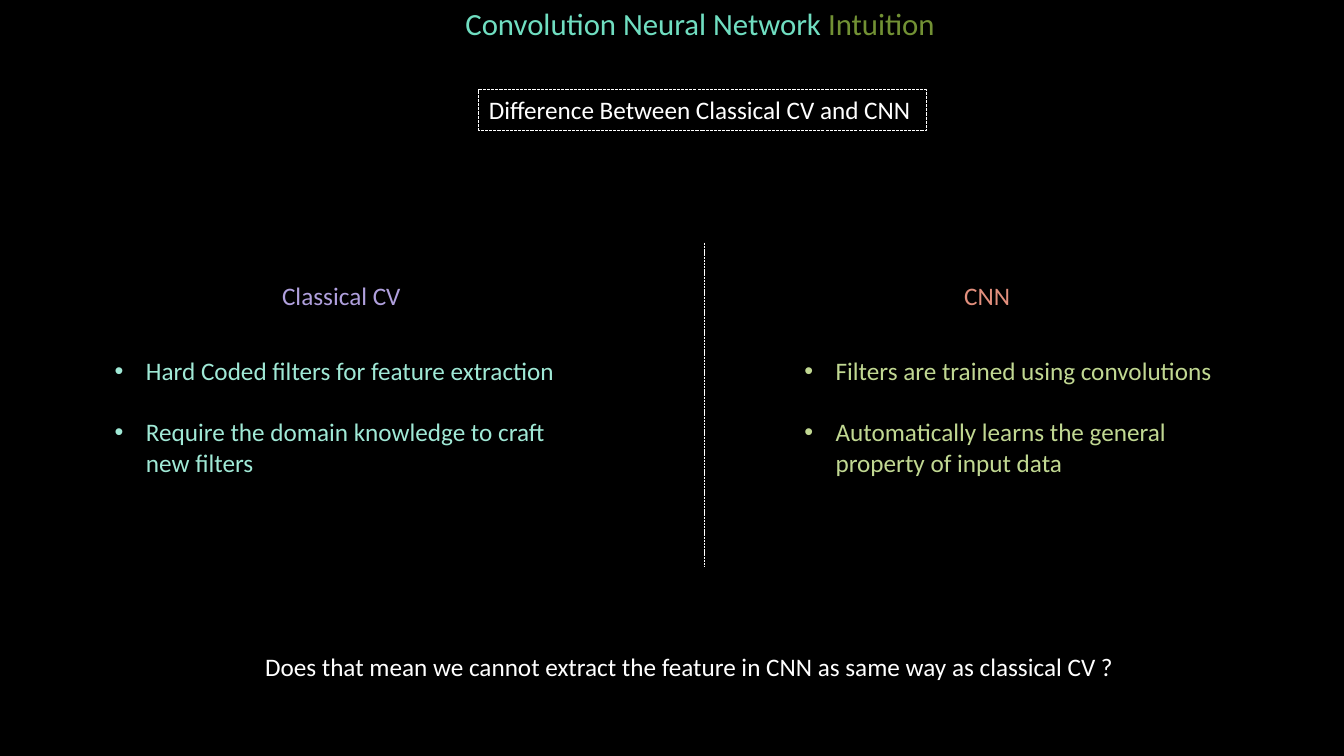
from lxml.etree import SubElement
from pptx import Presentation
from pptx.dml.color import RGBColor
from pptx.enum.dml import MSO_LINE
from pptx.enum.shapes import MSO_CONNECTOR, MSO_SHAPE
from pptx.enum.text import PP_ALIGN
from pptx.oxml.ns import qn
from pptx.util import Cm, Pt

BLACK = RGBColor(0x00, 0x00, 0x00)
WHITE = RGBColor(0xFF, 0xFF, 0xFF)
TEAL = RGBColor(0x70, 0xDE, 0xC1)
OLIVE = RGBColor(0x72, 0x91, 0x34)
PURPLE = RGBColor(0xB0, 0xA0, 0xDD)
CORAL = RGBColor(0xE2, 0x8F, 0x7D)
MINT = RGBColor(0xA0, 0xE9, 0xD6)
LIME = RGBColor(0xC1, 0xD8, 0x92)

FONT = "Calibri"
TITLE_SIZE, BODY_SIZE = 22, 18
LINE_H = 1.02
HEADING_TOP, LIST_TOP, LIST_H = 6.93, 8.84, 3.33
BULLET_INDENT = 0.79
BULLET_GAP = 22
DIVIDER_X, DIVIDER_TOP, DIVIDER_BOTTOM = 17.75, 6.12, 14.3

TITLE = [("Convolution Neural Network ", TEAL), ("Intuition", OLIVE)]
SUBTITLE = [("Difference Between Classical CV and CNN", WHITE)]
QUESTION = [("Does that mean we cannot extract the feature in CNN "
             "as same way as classical CV ?", WHITE)]
# heading, colour, left, width; then list left, width, colour, points
COLUMNS = [
    ("Classical CV", PURPLE, 6.86, 3.53, 2.64, 11.96, MINT,
     ["Hard Coded filters for feature extraction",
      "Require the domain knowledge to craft new filters"]),
    ("CNN", CORAL, 24.05, 1.68, 20.02, 10.82, LIME,
     ["Filters are trained using convolutions",
      "Automatically learns the general property of input data"]),
]


def add_runs(p, runs, size):
    p.alignment = PP_ALIGN.LEFT
    for text, color in runs:
        r = p.add_run()
        r.text = text
        r.font.name = FONT
        r.font.size = Pt(size)
        r.font.color.rgb = color


def add_text(s, left, top, width, height):
    tf = s.shapes.add_textbox(Cm(left), Cm(top), Cm(width), Cm(height)).text_frame
    tf.word_wrap = True
    return tf


def add_line_text(s, runs, left, top, width, height=LINE_H, size=BODY_SIZE):
    """Add a single line of text; no right inset, so that it never wraps."""
    tf = add_text(s, left, top, width, height)
    tf.margin_right = 0
    add_runs(tf.paragraphs[0], runs, size)


def add_bullets(s, points, color, left, width):
    tf = add_text(s, left, LIST_TOP, width, LIST_H)
    for i, point in enumerate(points):
        p = tf.paragraphs[0] if i == 0 else tf.add_paragraph()
        if i:
            p.space_before = Pt(BULLET_GAP)
        pPr = p._p.get_or_add_pPr()
        pPr.set("marL", str(Cm(BULLET_INDENT)))
        pPr.set("indent", str(-Cm(BULLET_INDENT)))
        SubElement(pPr, qn("a:buFont"), typeface="Arial")
        SubElement(pPr, qn("a:buChar"), char="•")
        add_runs(p, [(point, color)], BODY_SIZE)


def style_dashed(line, width):
    line.color.rgb = WHITE
    line.width = Pt(width)
    line.dash_style = MSO_LINE.SQUARE_DOT


def main():
    prs = Presentation()
    prs.slide_width, prs.slide_height = Cm(33.87), Cm(19.05)
    s = prs.slides.add_slide(prs.slide_layouts[6])
    s.background.fill.solid()
    s.background.fill.fore_color.rgb = BLACK

    add_line_text(s, TITLE, 11.48, 0, 12.47, 1.19, TITLE_SIZE)

    sp = s.shapes.add_shape(MSO_SHAPE.RECTANGLE, Cm(12.07), Cm(2.26), Cm(11.28), Cm(LINE_H))
    sp.shadow.inherit = False
    sp.fill.background()
    style_dashed(sp.line, 0.75)
    sp.text_frame.word_wrap = True
    sp.text_frame.margin_right = 0
    add_runs(sp.text_frame.paragraphs[0], SUBTITLE, BODY_SIZE)

    divider = s.shapes.add_connector(MSO_CONNECTOR.STRAIGHT, Cm(DIVIDER_X), Cm(DIVIDER_TOP),
                                     Cm(DIVIDER_X), Cm(DIVIDER_BOTTOM))
    style_dashed(divider.line, 0.5)
    SubElement(divider._element.spPr, qn("a:effectLst"))

    for heading, color, left, width, list_left, list_width, list_color, points in COLUMNS:
        add_line_text(s, [(heading, color)], left, HEADING_TOP, width)
        add_bullets(s, points, list_color, list_left, list_width)

    add_line_text(s, QUESTION, 6.43, 16.28, 22.15)
    prs.save("out.pptx")


if __name__ == "__main__":
    main()
